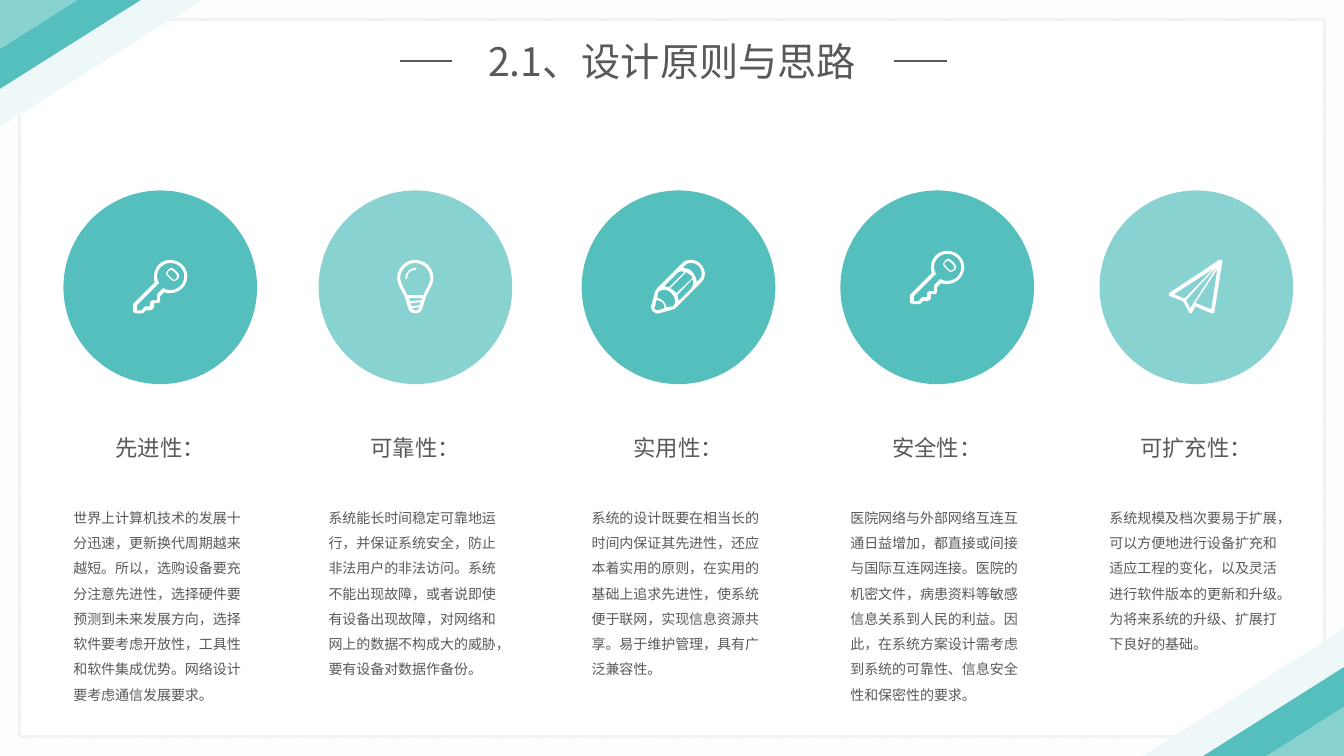
"""Build the slide on design principles: five circles with icons, headings and texts."""
from lxml.etree import SubElement
from pptx import Presentation
from pptx.dml.color import RGBColor
from pptx.enum.dml import MSO_PATTERN as Pattern
from pptx.enum.lang import MSO_LANGUAGE_ID as Language
from pptx.enum.shapes import MSO_CONNECTOR as Connector, MSO_SHAPE as Preset
from pptx.enum.text import MSO_ANCHOR as Anchor, MSO_AUTO_SIZE as AutoSize, PP_ALIGN as Align
from pptx.oxml.ns import qn
from pptx.util import Cm, Pt

WHITE = RGBColor(0xFF, 0xFF, 0xFF)
STRIPE = RGBColor(0xF8, 0xF8, 0xF8)
FRAME = RGBColor(0xF2, 0xF2, 0xF2)
GREY = RGBColor(0x59, 0x59, 0x59)
MIST = RGBColor(0xEE, 0xF8, 0xF8)
TEAL = RGBColor(0x55, 0xBF, 0xBE)
AQUA = RGBColor(0x88, 0xD2, 0xD1)

WIDTH, HEIGHT = 33.87, 19.05
DIAMETER = 4.88
ICON_UNIT = Cm(0.0254)
GRAIN = 100
CURVE_STEPS = 6

KEY = (
    "M37 30C35 30 32 29 30 28L28 30 25 33C24 34 24 35 24 36L24 40 21 40"
    "C19 40 17 41 17 43L17 46 13 46C12 46 12 47 11 47L9 50 4 50 4 45 23 26 26 23"
    "C25 21 24 19 24 16C24 9 30 3 37 3C45 3 51 9 51 16C51 24 45 30 37 30"
    "M37 0C28 0 21 7 21 16C21 19 21 21 22 22L1 43C1 43 0 44 0 45L0 50"
    "C0 52 2 53 4 53L9 53C10 53 10 53 11 52L13 50 17 50C19 50 21 48 21 46L21 43 24 43"
    "C26 43 27 42 27 40L27 36 31 32C33 33 35 33 37 33C46 33 54 26 54 16C54 7 46 0 37 0",
    "M41 20C38 18 36 16 34 13C35 12 36 10 38 10C41 11 43 14 44 16C44 18 43 19 41 20"
    "M46 15C44 12 42 10 39 8L38 8C35 9 34 11 33 13L33 14C35 17 37 19 40 21L41 21"
    "C44 20 45 19 46 17C46 16 46 15 46 15",
)
BULB = (
    "M26 35L10 35C9 33 8 31 7 29C5 25 3 21 3 18C3 10 10 3 18 3C26 3 33 10 33 18"
    "C33 21 31 25 29 29C28 31 27 33 26 35"
    "M18 50C16 50 16 50 15 48L22 47C21 50 20 50 18 50"
    "M13 41C12 40 12 39 12 38L25 38C24 39 24 39 24 40"
    "M22 45L14 46C14 45 14 44 13 43L23 42C23 44 23 44 22 45"
    "M18 0C8 0 0 8 0 18C0 25 6 32 8 38C11 48 11 53 18 53C25 53 25 48 28 38"
    "C30 32 36 25 36 18C36 8 28 0 18 0",
    "M18 8C13 8 8 13 8 18C8 19 8 19 9 19C9 19 10 19 10 18C10 13 13 10 18 10"
    "C19 10 19 9 19 9C19 8 19 8 18 8",
)
PENCIL = (
    "M48 19L45 22 45 21C45 18 43 15 41 12C38 9 35 8 31 8L34 5C35 4 37 3 39 3"
    "C42 3 45 4 47 6C49 8 50 11 50 13C50 16 50 18 48 19"
    "M15 47C15 45 14 43 12 41C10 39 8 38 6 38L7 32C8 32 8 31 8 31"
    "C11 29 17 29 20 33C24 37 25 42 22 46L21 46"
    "M7 50L6 50C5 50 3 49 3 47L4 46 5 40C7 40 9 41 11 42C13 44 13 46 13 48"
    "M18 27C16 27 14 26 13 26L26 13C28 11 30 11 33 12"
    "M25 33C24 32 23 31 23 31C22 30 20 29 19 28L35 12C36 13 37 14 39 15C39 15 40 16 41 18"
    "M27 39C27 38 26 36 26 35L41 19C42 22 42 25 40 28L27 41C27 40 27 40 27 39"
    "M49 4C46 1 43 0 39 0C36 0 33 1 31 3L23 11 6 28C5 29 5 30 4 31L0 46 0 47"
    "C0 50 3 53 6 53L8 53 22 49C23 49 24 48 25 47L50 22C55 17 54 9 49 4",
)
PLANE = (
    "M42 49L27 43 26 43 48 9M17 40L48 6 21 48M5 34L44 9 15 39 15 38"
    "M52 0L50 0 0 33C0 34 0 34 0 35C0 35 0 36 1 36L14 41 20 52C20 53 21 53 21 53"
    "C22 53 22 53 23 52L26 46 42 53 44 53C44 53 45 52 45 52L53 2C53 1 53 0 52 0",
)

PRINCIPLES = [
    (1.6, TEAL, KEY, 1.75, 6.55, "先进性：",
     "世界上计算机技术的发展十分迅速，更新换代周期越来越短。所以，选购设备要充分注意先进性，"
     "选择硬件要预测到未来发展方向，选择软件要考虑开放性，工具性和软件集成优势。"
     "网络设计要考虑通信发展要求。"),
    (8.03, AQUA, BULB, 1.98, 6.55, "可靠性：",
     "系统能长时间稳定可靠地运行，并保证系统安全，防止非法用户的非法访问。系统不能出现故障，"
     "或者说即使有设备出现故障，对网络和网上的数据不构成大的威胁，要有设备对数据作备份。"),
    (14.66, TEAL, PENCIL, 1.75, 6.55, "实用性：",
     "系统的设计既要在相当长的时间内保证其先进性，还应本着实用的原则，在实用的基础上追求先进性，"
     "使系统便于联网，实现信息资源共享。易于维护管理，具有广泛兼容性。"),
    (21.18, TEAL, KEY, 1.75, 6.32, "安全性：",
     "医院网络与外部网络互连互通日益增加，都直接或间接与国际互连网连接。医院的机密文件，"
     "病患资料等敏感信息关系到人民的利益。因此，在系统方案设计需考虑到系统的可靠性、"
     "信息安全性和保密性的要求。"),
    (27.71, AQUA, PLANE, 1.75, 6.55, "可扩充性：",
     "系统规模及档次要易于扩展，可以方便地进行设备扩充和适应工程的变化，"
     "以及灵活进行软件版本的更新和升级。为将来系统的升级、扩展打下良好的基础。"),
]


def pairs(numbers):
    """Turn a string of numbers into points."""
    values = [int(number) * GRAIN for number in numbers.split()]
    return list(zip(values[::2], values[1::2]))


def curve(*controls):
    """Give the points along a cubic curve after its start."""
    points = []
    for step in range(1, CURVE_STEPS + 1):
        t = step / CURVE_STEPS
        weights = (1 - t) ** 3, 3 * t * (1 - t) ** 2, 3 * t * t * (1 - t), t ** 3
        points.append(tuple(sum(w * v for w, v in zip(weights, axis)) for axis in zip(*controls)))
    return points


def outline(contour):
    """Give all points of one closed contour."""
    start, *steps = contour.replace("L", "|L").replace("C", "|C").split("|")
    points = pairs(start)
    for step in steps:
        corners = pairs(step[1:])
        points += curve(points[-1], *corners) if step[0] == "C" else corners
    return points


class Page:
    """Hold the style and the current slide."""
    latin, cjk, ink = "Arial", "Noto Sans CJK SC", GREY

    def __init__(self, deck):
        self.slide = deck.slides.add_slide(deck.slide_layouts[5])
        self.shapes = self.slide.shapes

    def shape(self, preset, left, top, width, height, color):
        """Add a flat preset shape."""
        block = self.shapes.add_shape(preset, Cm(left), Cm(top), Cm(width), Cm(height))
        block.shadow.inherit = False
        block.fill.solid()
        block.fill.fore_color.rgb = color
        block.line.fill.background()
        return block

    def corner(self, left, top, width, height, color, turn):
        """Add a triangle in a corner of the slide."""
        triangle = self.shape(Preset.RIGHT_TRIANGLE, left, top, width, height, color)
        triangle.element.spPr.xfrm.set("flipV", "1")
        triangle.rotation = turn

    def dash(self, start, end, level):
        """Add a level line beside the title."""
        rule = self.shapes.add_connector(Connector.STRAIGHT, Cm(start), Cm(level), Cm(end), Cm(level))
        rule.line.color.rgb = self.ink
        rule.line.width = Pt(1.5)
        SubElement(rule.element.spPr, qn("a:effectLst"))

    def icon(self, outlines, left, top):
        """Add a white icon made of one or more outlines."""
        for drawing in outlines:
            contours = [outline(contour) for contour in drawing.split("M")[1:]]
            builder = self.shapes.build_freeform(*contours[0][0], scale=ICON_UNIT / GRAIN)
            for index, (start, *others) in enumerate(contours):
                if index:
                    builder.move_to(*start)
                builder.add_line_segments(others, close=True)
            glyph = builder.convert_to_shape(Cm(left), Cm(top))
            glyph.shadow.inherit = False
            glyph.fill.solid()
            glyph.fill.fore_color.rgb = WHITE
            glyph.line.fill.background()

    def put_words(self, holder, words, size, align, spacing, latin):
        """Put one formatted run into a shape."""
        frame = holder.text_frame
        frame.word_wrap = True
        frame.auto_size = AutoSize.SHAPE_TO_FIT_TEXT
        paragraph = frame.paragraphs[0]
        paragraph.alignment = align
        paragraph.line_spacing = spacing
        run = paragraph.add_run()
        run.text = words
        run.font.size = Pt(size)
        run.font.name = latin
        run.font.color.rgb = self.ink
        run.font.language_id = Language.SIMPLIFIED_CHINESE
        SubElement(run._r.get_or_add_rPr(), qn("a:ea"), typeface=self.cjk)

    def text(self, left, top, width, height, words, size, align=Align.LEFT, spacing=1.0):
        """Add a text box."""
        box = self.shapes.add_textbox(Cm(left), Cm(top), Cm(width), Cm(height))
        self.put_words(box, words, size, align, spacing, self.latin)

    def title(self, left, top, width, height, words):
        """Place and fill the title placeholder in front."""
        heading = self.shapes.title
        heading.left, heading.top, heading.width, heading.height = map(Cm, (left, top, width, height))
        heading.text_frame.vertical_anchor = Anchor.MIDDLE
        self.put_words(heading, words, 28, Align.CENTER, 1.0, self.cjk)
        self.shapes.element.append(heading.element)


def main():
    """Build and save the slide."""
    deck = Presentation()
    deck.slide_width, deck.slide_height = Cm(WIDTH), Cm(HEIGHT)
    page = Page(deck)

    backdrop = page.shape(Preset.RECTANGLE, 0, 0, WIDTH, HEIGHT, WHITE)
    backdrop.fill.patterned()
    backdrop.fill.pattern = Pattern.DARK_UPWARD_DIAGONAL
    backdrop.fill.fore_color.rgb, backdrop.fill.back_color.rgb = STRIPE, WHITE
    panel = page.shape(Preset.RECTANGLE, 0.49, 0.49, 32.88, 18.07, WHITE)
    panel.line.color.rgb = FRAME
    panel.line.width = Pt(2.25)

    for width, height, color in [(5.08, 3.2, MIST), (3.55, 2.24, TEAL), (1.96, 1.24, AQUA)]:
        page.corner(0, 0, width, height, color, 0)
        page.corner(WIDTH - width, HEIGHT - height, width, height, color, 180)

    page.title(10.9, 0.81, 12.07, 1.45, "2.1、设计原则与思路")
    page.dash(10.08, 11.4, 1.53)
    page.dash(22.53, 23.87, 1.53)

    for left, color, outlines, inset, icon_top, name, detail in PRINCIPLES:
        page.shape(Preset.OVAL, left, 4.8, DIAMETER, DIAMETER, color)
        page.icon(outlines, left + inset, icon_top)
        page.text(left - 0.32, 10.82, 5.51, 0.94, name, 16, Align.CENTER)
        page.text(left, 12.5, DIAMETER, 4.75, detail, 10, spacing=1.5)
    deck.save("out.pptx")


if __name__ == "__main__":
    main()
